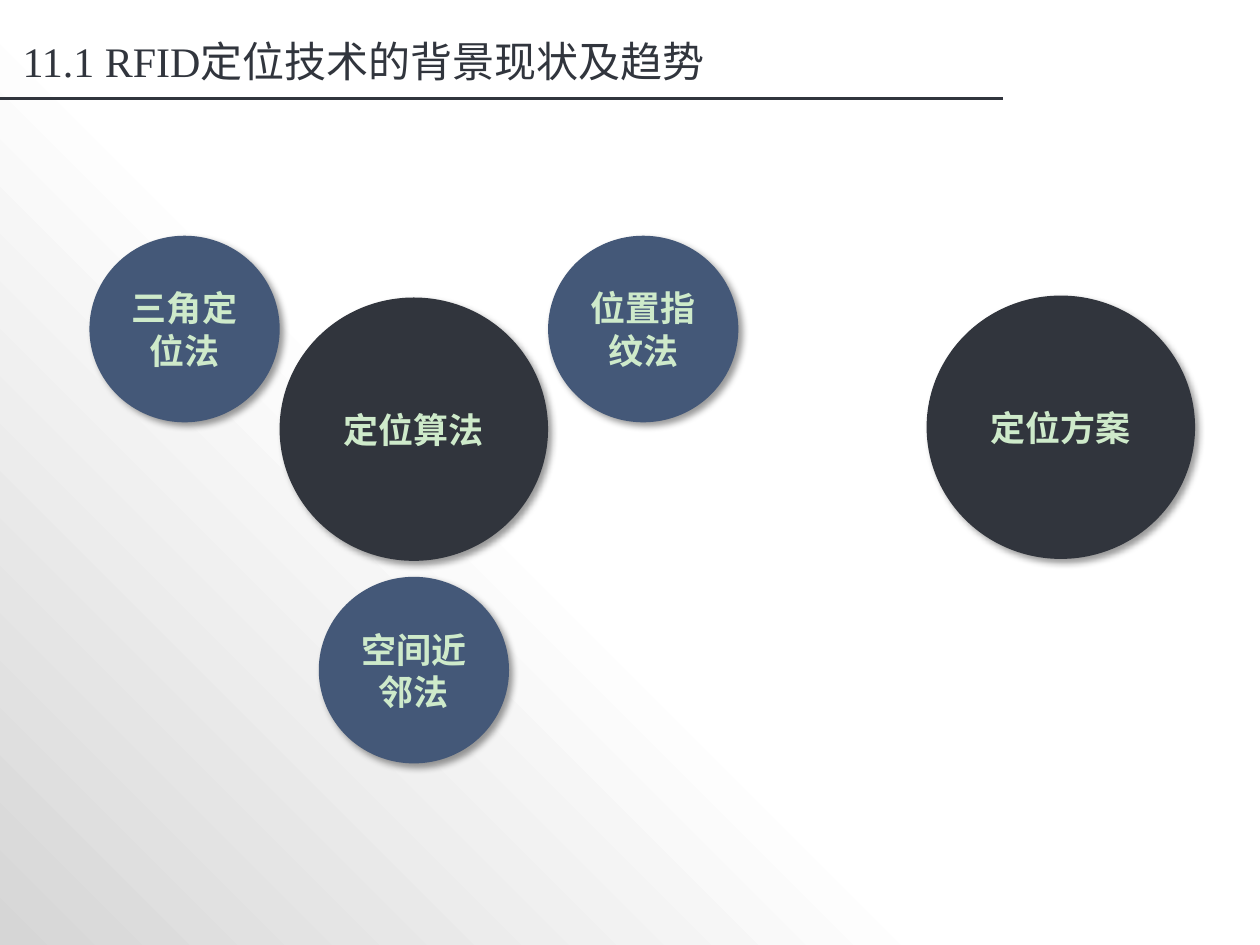
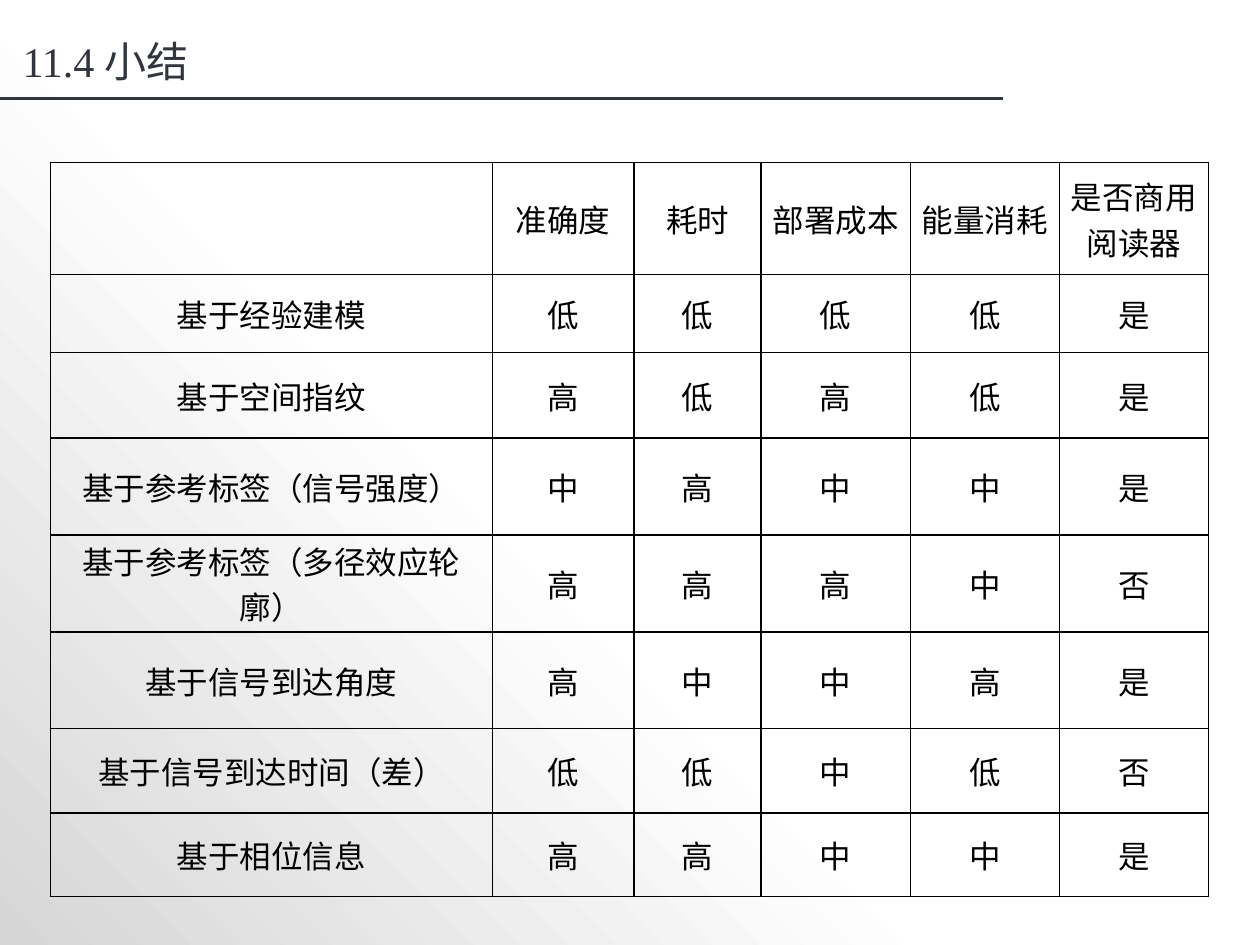
"""Build two slides on RFID positioning: a bubble diagram and a comparison table."""
import dataclasses
import typing

import lxml.etree
import pptx
import pptx.dml.color
import pptx.enum.shapes
import pptx.enum.text
import pptx.oxml.ns
import pptx.slide
import pptx.text.text
import pptx.util

Pt = pptx.util.Pt
qn = pptx.oxml.ns.qn
RGB = pptx.dml.color.RGBColor.from_string
ALIGN = pptx.enum.text.PP_ALIGN
MIDDLE = pptx.enum.text.MSO_ANCHOR.MIDDLE


@dataclasses.dataclass(frozen=True)
class Theme:
    ink: str = "31353D"
    blue: str = "445878"
    mint: str = "CEEACA"
    black: str = "000000"
    gradient: tuple[tuple[float, str], ...] = ((0, "D6D6D6"), (0.43, "FFFFFF"))
    latin: str = "Times New Roman"
    chinese: str = "Noto Sans CJK SC"
    title_size: float = 24
    bubble_size: float = 20
    table_size: float = 18
    rule_width: float = 1.5
    border_width: float = 1


@dataclasses.dataclass(frozen=True)
class Bubble:
    label: str
    left: float
    top: float
    width: float
    height: float
    fill: str


THEME = Theme()
HUB_WIDTH, HUB_HEIGHT = 153.4, 150.5
METHOD_WIDTH, METHOD_HEIGHT = 108.7, 106.6
HUB_LEFT, HUB_TOP = 159.8, 170
METHOD_TOP = 134.7

HUBS = [("定位算法", HUB_LEFT, HUB_TOP), ("定位方案", 529.5, 168.9)]
METHODS = [
    ("三角定位法", HUB_LEFT - METHOD_WIDTH, METHOD_TOP),
    ("位置指纹法", HUB_LEFT + HUB_WIDTH, METHOD_TOP),
    ("空间近邻法", HUB_LEFT + (HUB_WIDTH - METHOD_WIDTH) / 2, 329.6),
]
BUBBLES = [Bubble(*hub, HUB_WIDTH, HUB_HEIGHT, THEME.ink) for hub in HUBS] + [
    Bubble(*method, METHOD_WIDTH, METHOD_HEIGHT, THEME.blue) for method in METHODS
]

COLUMN_WIDTHS = [252.6, 80.8, 72.8, 85.2, 85.2, 85.2]
ROW_HEIGHTS = [64, 44.6, 48.8, 55.4, 55.4, 55.4, 48.1, 47.8]
COMPARISON = [
    ("", "准确度", "耗时", "部署成本", "能量消耗", "是否商用阅读器"),
    ("基于经验建模", *"低低低低是"),
    ("基于空间指纹", *"高低高低是"),
    ("基于参考标签（信号强度）", *"中高中中是"),
    ("基于参考标签（多径效应轮廓）", *"高高高中否"),
    ("基于信号到达角度", *"高中中高是"),
    ("基于信号到达时间（差）", *"低低中低否"),
    ("基于相位信息", *"高高中中是"),
]


def apply(target: object, values: dict[str, typing.Any]) -> None:
    for name, value in values.items():
        setattr(target, name, value)


def write(frame: pptx.text.text.TextFrame, text: str, color: str, align: ALIGN,
          **font: typing.Any) -> None:
    para = frame.paragraphs[0]
    para.alignment = align
    if not text:
        return
    span = para.add_run()
    span.text = text
    apply(span.font, font)
    span.font.color.rgb = RGB(color)
    lxml.etree.SubElement(span.font._element, qn("a:ea"), typeface=THEME.chinese)


def add_page(deck: pptx.presentation.Presentation, title: str) -> pptx.slide.Slide:
    page = deck.slides.add_slide(deck.slide_layouts[6])
    fill = page.background.fill
    fill.gradient()
    fill.gradient_angle = 45
    for stop, (position, color) in zip(fill.gradient_stops, THEME.gradient):
        stop.position = position
        stop.color.rgb = RGB(color)

    box = page.shapes.add_textbox(Pt(5.8), Pt(13.7), Pt(453.6), Pt(42.5))
    apply(box.text_frame, {"word_wrap": True, "vertical_anchor": MIDDLE})
    write(box.text_frame, title, THEME.ink, ALIGN.LEFT,
          name=THEME.latin, size=Pt(THEME.title_size))

    rule = page.shapes.add_connector(
        pptx.enum.shapes.MSO_CONNECTOR.STRAIGHT, Pt(0), Pt(56.2), Pt(573), Pt(56.2))
    rule.line.color.rgb = RGB(THEME.ink)
    rule.line.width = Pt(THEME.rule_width)
    lxml.etree.SubElement(rule._element.spPr, qn("a:effectLst"))
    return page


def add_bubble(page: pptx.slide.Slide, bubble: Bubble) -> None:
    shape = page.shapes.add_shape(
        pptx.enum.shapes.MSO_SHAPE.OVAL, Pt(bubble.left), Pt(bubble.top),
        Pt(bubble.width), Pt(bubble.height))
    shape.fill.solid()
    shape.fill.fore_color.rgb = RGB(bubble.fill)
    shape.line.fill.background()
    shape.shadow.inherit = False
    effects = shape._element.spPr.find(qn("a:effectLst"))
    shadow = lxml.etree.SubElement(
        effects, qn("a:outerShdw"), blurRad=str(Pt(4)), dist=str(Pt(3)),
        dir=str(45 * 60000), algn="tl", rotWithShape="0")
    color = lxml.etree.SubElement(shadow, qn("a:srgbClr"), val=THEME.black)
    lxml.etree.SubElement(color, qn("a:alpha"), val="40000")
    apply(shape.text_frame, {"word_wrap": True, "vertical_anchor": MIDDLE})
    write(shape.text_frame, bubble.label, THEME.mint, ALIGN.CENTER,
          name=THEME.latin, size=Pt(THEME.bubble_size), bold=True)


def add_borders(cell: typing.Any) -> None:
    properties = cell._tc.get_or_add_tcPr()
    for index, side in enumerate(("lnL", "lnR", "lnT", "lnB")):
        border = lxml.etree.Element(qn(f"a:{side}"), w=str(Pt(THEME.border_width)))
        solid = lxml.etree.SubElement(border, qn("a:solidFill"))
        lxml.etree.SubElement(solid, qn("a:srgbClr"), val=THEME.black)
        properties.insert(index, border)


def add_comparison(page: pptx.slide.Slide) -> None:
    table = page.shapes.add_table(
        len(ROW_HEIGHTS), len(COLUMN_WIDTHS), Pt(28.8), Pt(92.9),
        Pt(sum(COLUMN_WIDTHS)), Pt(sum(ROW_HEIGHTS))).table
    apply(table, {"first_row": False, "horz_banding": False})
    for column, width in zip(table.columns, COLUMN_WIDTHS):
        column.width = Pt(width)
    for row, height, texts in zip(table.rows, ROW_HEIGHTS, COMPARISON):
        row.height = Pt(height)
        for cell, text in zip(row.cells, texts):
            apply(cell, {"margin_left": Pt(5), "margin_right": Pt(5), "margin_top": 0,
                         "margin_bottom": 0, "vertical_anchor": MIDDLE})
            cell.fill.background()
            add_borders(cell)
            write(cell.text_frame, text, THEME.black, ALIGN.CENTER,
                  name=THEME.chinese, size=Pt(THEME.table_size))


def main() -> None:
    deck = pptx.Presentation()
    apply(deck, {"slide_width": Pt(720), "slide_height": Pt(540)})
    page = add_page(deck, "11.1 RFID定位技术的背景现状及趋势")
    for bubble in BUBBLES:
        add_bubble(page, bubble)
    add_comparison(add_page(deck, "11.4 小结"))
    deck.save("out.pptx")


if __name__ == "__main__":
    main()
